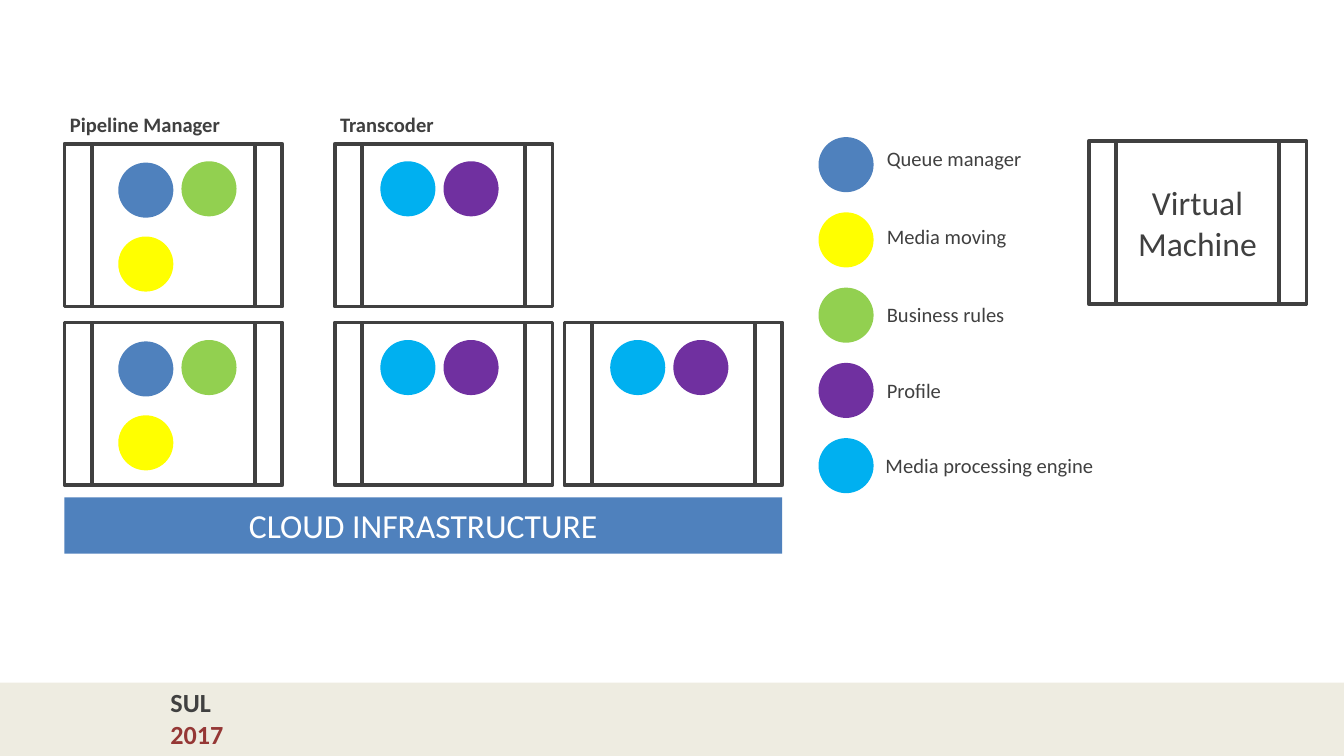
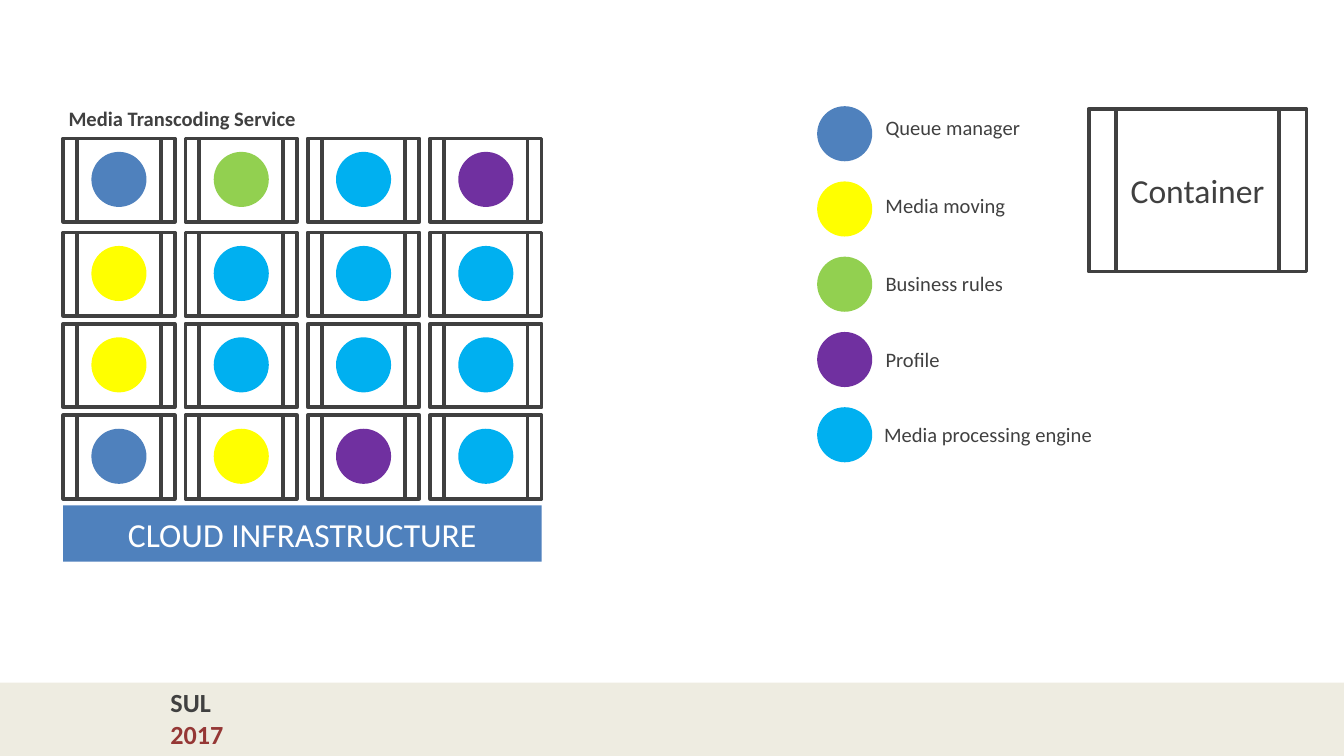
from pptx import Presentation
from pptx import util as u
from pptx.dml.color import RGBColor
from pptx.enum import shapes, text

FONT = "Calibri"
INK, WHITE, BAND, RED = "404040", "FFFFFF", "EEECE1", "953735"
QUEUE, MOVING, RULES = "4F81BD", "FFFF00", "92D050"
PROFILE, ENGINE = "7030A0", "00B0F0"

DOT = 0.41
MACHINE = (1.62, 1.21)
CONTAINER = (0.83, 0.62)
LEGEND_STEP = 0.56
LEGEND = [
    (QUEUE, "Queue manager", 0.41, 0.02, 1.21),
    (MOVING, "Media moving", 0.41, 0.6, 1.1),
    (RULES, "Business rules", 0.41, 1.18, 1.08),
    (PROFILE, "Profile", 0.41, 1.74, 0.61),
    (ENGINE, "Media processing engine", 0.4, 2.3, 1.76),
]

PIPELINE_DOTS = [(MOVING, 0.4, 0.69), (RULES, 0.87, 0.13), (QUEUE, 0.4, 0.14)]
TRANSCODER_DOTS = [(ENGINE, 0.34, 0.13), (PROFILE, 0.81, 0.13)]
MACHINES = [
    (0.48, 1.07, PIPELINE_DOTS),
    (2.49, 1.07, TRANSCODER_DOTS),
    (0.48, 2.4, PIPELINE_DOTS),
    (2.49, 2.4, TRANSCODER_DOTS),
    (4.2, 2.4, TRANSCODER_DOTS),
]

SERVICE_LEFT, SERVICE_STEP = 0.47, 0.91
SERVICE_ROWS = [
    (1.03, [QUEUE, RULES, ENGINE, PROFILE]),
    (1.73, [MOVING, ENGINE, ENGINE, ENGINE]),
    (2.41, [MOVING, ENGINE, ENGINE, ENGINE]),
    (3.09, [QUEUE, MOVING, PROFILE, ENGINE]),
]


def color(value):
    return RGBColor.from_string(value)


def inches(*lengths):
    return [u.Inches(length) for length in lengths]


def write(frame, lines, size=11, colors=(INK,), bold=False, centered=False):
    for index, (line, ink) in enumerate(zip(lines, colors)):
        paragraph = frame.add_paragraph() if index else frame.paragraphs[0]
        paragraph.alignment = text.PP_ALIGN.CENTER if centered else text.PP_ALIGN.LEFT
        run = paragraph.add_run()
        run.text = line
        run.font.name = FONT
        run.font.size = u.Pt(size)
        run.font.bold = bold
        run.font.color.rgb = color(ink)


def add_label(parent, lines, left, top, width, height, wrap=False, tight=False, **style):
    frame = parent.add_textbox(*inches(left, top, width, height)).text_frame
    frame.word_wrap = wrap
    frame.auto_size = text.MSO_AUTO_SIZE.SHAPE_TO_FIT_TEXT
    if tight:
        frame.margin_left = frame.margin_right = u.Inches(0.04)
        frame.margin_top = frame.margin_bottom = 0
    write(frame, lines, **style)


def add_solid(parent, preset, fill, left, top, width, height):
    solid = parent.add_shape(preset, *inches(left, top, width, height))
    solid.shadow.inherit = False
    solid.fill.solid()
    solid.fill.fore_color.rgb = color(fill)
    solid.line.fill.background()
    return solid


def add_dot(parent, fill, left, top):
    add_solid(parent, shapes.MSO_SHAPE.OVAL, fill, left, top, DOT, DOT)


def add_frame(parent, left, top, size, caption=None):
    box = parent.add_shape(
        shapes.MSO_SHAPE.FLOWCHART_PREDEFINED_PROCESS, *inches(left, top, *size))
    box.shadow.inherit = False
    box.fill.background()
    box.line.color.rgb = color(INK)
    box.line.width = u.Pt(2)
    if caption:
        frame = box.text_frame
        frame.margin_left = frame.margin_right = u.Inches(0.05)
        frame.vertical_anchor = text.MSO_ANCHOR.MIDDLE
        write(frame, [caption], size=18, centered=True)


def add_unit(slide, left, top, size, dots):
    unit = slide.shapes.add_group_shape().shapes
    for fill, dx, dy in dots:
        add_dot(unit, fill, left + dx, top + dy)
    add_frame(unit, left, top, size)


def add_heading(slide, heading, left, top, width):
    add_label(slide.shapes, [heading], left, top, width, 0.19,
              wrap=True, tight=True, bold=True)


def add_cloud(slide, left, top, width):
    cloud = add_solid(slide.shapes, shapes.MSO_SHAPE.RECTANGLE, QUEUE,
                      left, top, width, 0.42)
    cloud.text_frame.vertical_anchor = text.MSO_ANCHOR.MIDDLE
    write(cloud.text_frame, ["CLOUD INFRASTRUCTURE"], size=18,
          colors=[WHITE], centered=True)


def add_legend(slide, left, top, unit_name, unit_top):
    for row, (fill, name, dx, dy, width) in enumerate(LEGEND):
        add_dot(slide.shapes, fill, left, top + row * LEGEND_STEP)
        add_label(slide.shapes, [name], left + dx, top + dy, width, 0.29)
    add_frame(slide.shapes, 8.1, unit_top, MACHINE, unit_name)


def add_slide(deck):
    slide = deck.slides.add_slide(deck.slide_layouts[6])
    add_solid(slide.shapes, shapes.MSO_SHAPE.RECTANGLE, BAND, 0, 5.08, 10, 0.55)
    add_label(slide.shapes, ["SUL", "2017"], 1.17, 5.06, 0.6, 0.57,
              size=14, colors=[INK, RED], bold=True)
    return slide


def build_virtual_machines(deck):
    slide = add_slide(deck)
    add_heading(slide, "Pipeline Manager", 0.48, 0.83, 1.27)
    add_heading(slide, "Transcoder", 2.49, 0.83, 1.27)
    for left, top, dots in MACHINES:
        add_unit(slide, left, top, MACHINE, dots)
    add_cloud(slide, 0.48, 3.7, 5.34)
    add_legend(slide, 6.09, 1.02, "Virtual Machine", 1.05)


def build_containers(deck):
    slide = add_slide(deck)
    add_heading(slide, "Media Transcoding Service", SERVICE_LEFT, 0.79, 3.56)
    for top, services in SERVICE_ROWS:
        for column, service in enumerate(services):
            add_unit(slide, SERVICE_LEFT + column * SERVICE_STEP, top,
                     CONTAINER, [(service, 0.21, 0.1)])
    add_cloud(slide, SERVICE_LEFT, 3.76, 3.56)
    add_legend(slide, 6.08, 0.79, "Container", 0.81)


def main():
    deck = Presentation()
    deck.slide_width = u.Inches(10)
    deck.slide_height = u.Inches(10 * 9 / 16)
    build_virtual_machines(deck)
    build_containers(deck)
    deck.save("out.pptx")


if __name__ == "__main__":
    main()
